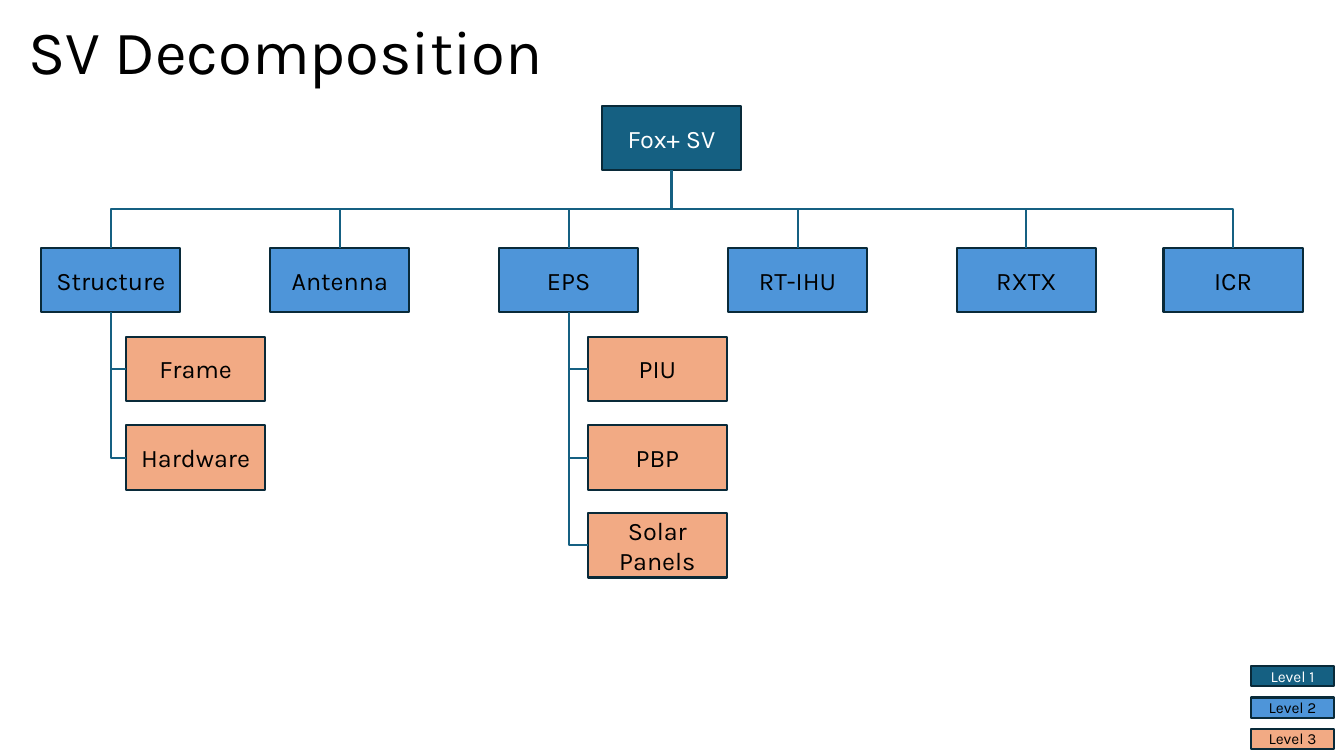
from dataclasses import dataclass

import lxml.etree
import pptx
import pptx.dml.color
import pptx.enum.shapes
import pptx.enum.text
import pptx.oxml.ns
import pptx.util

EMU_PER_PX = 9144  # 100 px to the inch
FONT = "Karla"
OUTLINE, CONNECTION = "092A39", "156082"
BOX_WIDTH, BOX_HEIGHT = 138, 64
BRANCH_TOP, UNIT_TOP, UNIT_PITCH = 246, 334, 87.5


@dataclass(frozen=True)
class Level:
    fill: str
    font_color: str


@dataclass(frozen=True)
class Branch:
    name: str
    left: int
    units: tuple[str, ...] = ()
    units_left: int = 0


LEVELS = (
    Level("156082", "FFFFFF"),
    Level("4E95D9", "000000"),
    Level("F2AA84", "000000"),
)
BRANCHES = (
    Branch("Structure", 41, ("Frame", "Hardware"), 125),
    Branch("Antenna", 268),
    Branch("EPS", 495, ("PIU", "PBP", "Solar Panels"), 583),
    Branch("RT-IHU", 722),
    Branch("RXTX", 949),
    Branch("ICR", 1154),
)


def px(length: int) -> pptx.util.Emu:
    return pptx.util.Emu(length * EMU_PER_PX)


def rgb(value: str) -> pptx.dml.color.RGBColor:
    return pptx.dml.color.RGBColor.from_string(value)


def write(frame, text: str, size: int, color: str) -> None:
    frame.text = text
    frame.word_wrap = True
    frame.vertical_anchor = pptx.enum.text.MSO_ANCHOR.MIDDLE
    font = frame.paragraphs[0].runs[0].font
    font.name, font.size = FONT, pptx.util.Pt(size)
    font.color.rgb = rgb(color)


def add_box(slide, text: str, level: Level, left: int, top: int,
            width: int = BOX_WIDTH, height: int = BOX_HEIGHT, size: int = 18):
    box = slide.shapes.add_shape(
        pptx.enum.shapes.MSO_SHAPE.RECTANGLE, px(left), px(top), px(width), px(height))
    box.shadow.inherit = False
    box.fill.solid()
    box.fill.fore_color.rgb = rgb(level.fill)
    box.line.color.rgb = rgb(OUTLINE)
    box.line.width = pptx.util.Pt(1.5)
    write(box.text_frame, text, size, level.font_color)
    box.text_frame.paragraphs[0].alignment = pptx.enum.text.PP_ALIGN.CENTER
    return box


def add_elbow(slide, parent, child, side: int, preset: str) -> None:
    """Join the bottom of parent to the top (0) or left (1) of child."""
    elbow = slide.shapes.add_connector(
        pptx.enum.shapes.MSO_CONNECTOR.ELBOW, 0, 0, 0, 0)
    elbow.begin_connect(parent, 2)
    elbow.end_connect(child, side)
    start_x, start_y = elbow.begin_x, elbow.begin_y
    end_x, end_y = elbow.end_x, elbow.end_y
    across, down = abs(end_x - start_x), end_y - start_y

    # The route leaves downwards, so its frame is turned by a quarter
    elbow.left = (start_x + end_x - down) // 2
    elbow.top = (start_y + end_y - across) // 2
    elbow.width, elbow.height = down, across
    properties = elbow._element.spPr
    frame = properties.find(pptx.oxml.ns.qn("a:xfrm"))
    to_right = end_x > start_x
    frame.set("rot", str((270 if to_right else 90) * 60000))
    frame.set("flipH", "1" if to_right else "0")
    frame.set("flipV", "0")
    properties.find(pptx.oxml.ns.qn("a:prstGeom")).set("prst", preset)

    elbow.line.color.rgb = rgb(CONNECTION)
    elbow.line.width = pptx.util.Pt(1.5)
    lxml.etree.SubElement(properties, pptx.oxml.ns.qn("a:effectLst"))


def add_tree(slide) -> None:
    vehicle = add_box(slide, "Fox+ SV", LEVELS[0], 597, 105)
    for branch in BRANCHES:
        branch_box = add_box(slide, branch.name, LEVELS[1], branch.left, BRANCH_TOP)
        add_elbow(slide, vehicle, branch_box, 0, "bentConnector3")
        for row, unit in enumerate(branch.units):
            top = UNIT_TOP + round(row * UNIT_PITCH)
            unit_box = add_box(slide, unit, LEVELS[2], branch.units_left, top)
            add_elbow(slide, branch_box, unit_box, 1, "bentConnector2")


def main() -> None:
    presentation = pptx.Presentation()
    presentation.slide_width, presentation.slide_height = px(1333), px(750)
    slide = presentation.slides.add_slide(presentation.slide_layouts[6])

    # Title
    title = slide.shapes.add_textbox(px(18), px(15), px(1300), px(78))
    write(title.text_frame, "SV Decomposition", 44, "000000")
    title.text_frame.paragraphs[0].line_spacing = 0.9

    add_tree(slide)

    # Legend
    for row, level in enumerate(LEVELS):
        add_box(slide, f"Level {row + 1}", level, 1241, 661 + 31 * row, 82, 20, 11)

    presentation.save("out.pptx")


if __name__ == "__main__":
    main()
